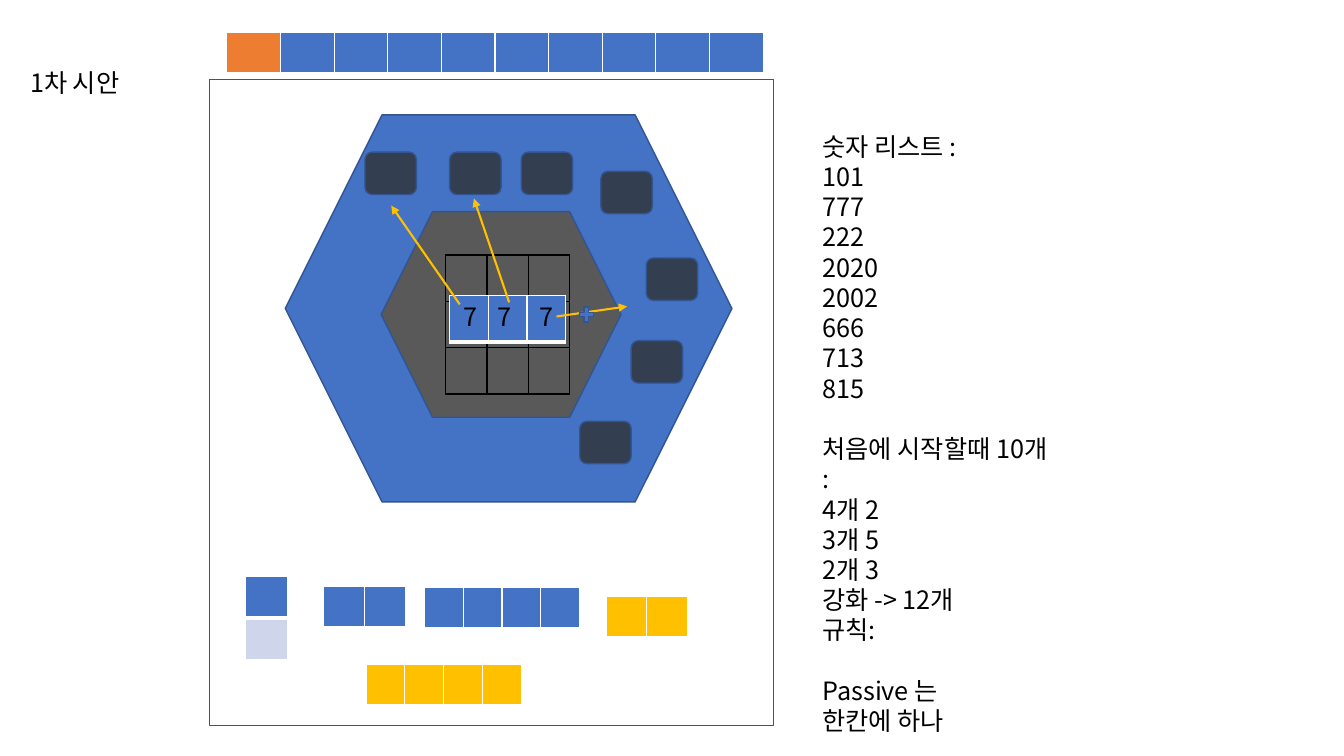
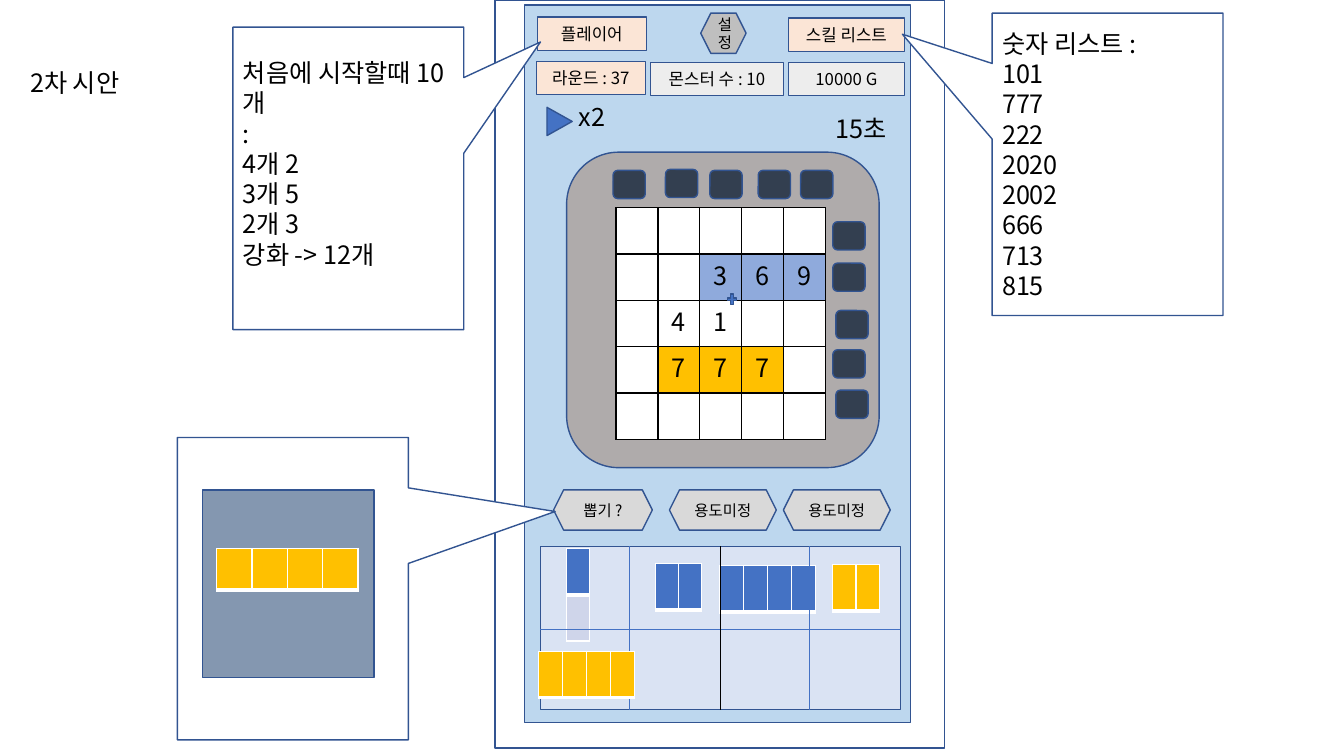
from lxml.etree import SubElement
from pptx import Presentation
from pptx.dml.color import RGBColor
from pptx.enum.shapes import MSO_CONNECTOR as Link, MSO_SHAPE as Kind
from pptx.enum.text import MSO_ANCHOR as Anchor, PP_ALIGN as Align
from pptx.oxml import parse_xml
from pptx.oxml.ns import nsdecls, qn
from pptx.util import Inches, Pt

# Shared look
FONT = "Noto Sans CJK KR"
BLACK = RGBColor(0x00, 0x00, 0x00)
WHITE = RGBColor(0xFF, 0xFF, 0xFF)
EDGE = RGBColor(0x32, 0x54, 0x91)
BLUE = RGBColor(0x44, 0x72, 0xC4)
GOLD = RGBColor(0xFF, 0xC0, 0x00)
ORANGE = RGBColor(0xED, 0x7D, 0x31)
NAVY = RGBColor(0x33, 0x3F, 0x50)
GRAPHITE = RGBColor(0x59, 0x59, 0x59)
LILAC = RGBColor(0xCF, 0xD5, 0xEA)
SKY = RGBColor(0xBD, 0xD7, 0xEE)
STONE = RGBColor(0xAF, 0xAB, 0xAB)
MATCH = RGBColor(0x8F, 0xAA, 0xDC)
TRAY = RGBColor(0xDA, 0xE3, 0xF3)
PEACH = RGBColor(0xFB, 0xE5, 0xD6)
PALE = RGBColor(0xED, 0xED, 0xED)
SILVER = RGBColor(0xBF, 0xBF, 0xBF)
LIGHT = RGBColor(0xD9, 0xD9, 0xD9)
SLATE = RGBColor(0x84, 0x97, 0xB0)

LINE = 1.2  # line height relative to the text size
NUMBERS = ["숫자 리스트 :", "101", "777", "222", "2020", "2002", "666", "713", "815"]
START = ["처음에 시작할때 10개", ":", "4개 2", "3개 5", "2개 3", "강화 -> 12개"]


# Text
def write(frame, lines, size=18, align=Align.LEFT, gaps=()):
    """Fill a frame; lines whose index is in gaps get a line of space above."""
    frame.word_wrap = True
    for i, line in enumerate(lines):
        para = frame.paragraphs[0] if i == 0 else frame.add_paragraph()
        para.alignment = align
        para.line_spacing = Pt(size * LINE)
        if i in gaps:
            para.space_before = Pt(size * LINE)
        run = para.add_run()
        run.text = line
        run.font.size = Pt(size)
        run.font.name = FONT
        run.font.color.rgb = BLACK
        SubElement(run.font._element, qn("a:ea")).set("typeface", FONT)


def label(slide, x, y, w, h, lines, gaps=()):
    box = slide.shapes.add_textbox(Inches(x), Inches(y), Inches(w), Inches(h))
    write(box.text_frame, lines, gaps=gaps)


# Shapes and lines
def shape(slide, kind, x, y, w, h, fill):
    item = slide.shapes.add_shape(kind, Inches(x), Inches(y), Inches(w), Inches(h))
    item.shadow.inherit = False
    item.fill.solid()
    item.fill.fore_color.rgb = fill
    item.line.color.rgb = EDGE
    item.line.width = Pt(1)
    return item


def button(slide, kind, x, y, w, h, fill, text, size):
    frame = shape(slide, kind, x, y, w, h, fill).text_frame
    frame.vertical_anchor = Anchor.MIDDLE
    write(frame, [text], size, Align.CENTER)


def callout(slide, x, y, tip, lines=(), foot=0.05):
    item = shape(slide, Kind.RECTANGULAR_CALLOUT, x, y, 2.29, 3, WHITE)
    item.adjustments[0], item.adjustments[1] = tip
    frame = item.text_frame
    frame.vertical_anchor = Anchor.MIDDLE
    frame.margin_bottom = Inches(foot)
    write(frame, lines)


def chips(slide, spots, w, h):
    for x, y in spots:
        shape(slide, Kind.ROUNDED_RECTANGLE, x, y, w, h, NAVY)


def link(slide, x1, y1, x2, y2, color, width, arrow=False):
    item = slide.shapes.add_connector(
        Link.STRAIGHT, Inches(x1), Inches(y1), Inches(x2), Inches(y2))
    item.line.color.rgb = color
    item.line.width = Pt(width)
    if arrow:
        SubElement(item.line._get_or_add_ln(), qn("a:tailEnd")).set("type", "triangle")
    SubElement(item._element.spPr, qn("a:effectLst"))


# Tables
def border(cell, color, foot):
    props = cell._tc.get_or_add_tcPr()
    for i, side in enumerate("LRTB"):
        width = Pt(foot if side == "B" else 1)
        props.insert(i, parse_xml(
            f'<a:ln{side} {nsdecls("a")} w="{width}"><a:solidFill>'
            f'<a:srgbClr val="{color}"/></a:solidFill></a:ln{side}>'))


def table(slide, x, y, w, row, fills, color, foot=1, texts=None):
    """Draw a grid of fills (None is clear); texts maps (row, column) to words."""
    count = len(fills)
    grid = slide.shapes.add_table(count, len(fills[0]), Inches(x), Inches(y),
                                  Inches(w), Inches(row * count)).table
    grid.first_row = grid.horz_banding = False
    for r, band in enumerate(fills):
        for c, fill in enumerate(band):
            cell = grid.cell(r, c)
            cell.margin_left = cell.margin_right = 0
            cell.margin_top = cell.margin_bottom = 0
            cell.vertical_anchor = Anchor.MIDDLE
            if fill is None:
                cell.fill.background()
            else:
                cell.fill.solid()
                cell.fill.fore_color.rgb = fill
            border(cell, color, 1 if fill == LILAC else foot)
            if texts and (r, c) in texts:
                write(cell.text_frame, [texts[r, c]], align=Align.CENTER)


def strip(slide, x, y, w, row, fills):
    table(slide, x, y, w, row, [fills], WHITE, 3)


def stack(slide, x, y, w, row):
    table(slide, x, y, w, row, [[BLUE], [LILAC]], WHITE, 3)


# Slides
def first(slide):
    # Board
    shape(slide, Kind.RECTANGLE, 2.08, 0.79, 5.59, 6.41, WHITE)
    shape(slide, Kind.HEXAGON, 2.83, 1.14, 4.43, 3.84, BLUE)
    shape(slide, Kind.HEXAGON, 3.78, 2.1, 2.38, 2.04, GRAPHITE)
    table(slide, 4.42, 2.53, 1.23, 0.46, [[None] * 3] * 3, BLACK)
    strip(slide, 4.46, 2.93, 1.15, 0.46, [BLUE] * 3)
    for x in (4.5, 4.84, 5.25):
        label(slide, x, 2.94, 0.41, 0.4, ["7"])
    chips(slide, [(3.62, 1.51), (4.46, 1.51), (5.17, 1.51), (5.96, 1.7),
                  (6.41, 2.56), (6.26, 3.38), (5.75, 4.18)], 0.51, 0.42)
    for ends in ((5.52, 3.14, 6.22, 3.04), (4.56, 3.02, 3.88, 2.04),
                 (5.05, 3, 4.7, 1.97)):
        link(slide, *ends, GOLD, 1.5, arrow=True)

    # Notes
    lines = NUMBERS + START + ["규칙:", "Passive 는", "한칸에 하나"]
    gaps = (lines.index(START[0]), lines.index("Passive 는"))
    label(slide, 8.06, 1.25, 5.2, 6.16, lines, gaps)

    # Blocks
    strip(slide, 3.21, 5.82, 0.81, 0.41, [BLUE] * 2)
    strip(slide, 4.21, 5.83, 1.54, 0.41, [BLUE] * 4)
    strip(slide, 3.63, 6.59, 1.54, 0.41, [GOLD] * 4)
    strip(slide, 6.01, 5.92, 0.81, 0.41, [GOLD] * 2)
    stack(slide, 2.43, 5.72, 0.42, 0.41)
    shape(slide, Kind.MATH_PLUS, 5.72, 3.02, 0.19, 0.2, BLUE)
    strip(slide, 2.25, 0.32, 5.32, 0.41, [ORANGE] + [BLUE] * 9)
    label(slide, 0.2, 0.62, 1.71, 0.4, ["1차 시안"])


def second(slide):
    # Phone and board
    shape(slide, Kind.RECTANGLE, 4.91, 0, 4.46, 7.42, WHITE)
    shape(slide, Kind.RECTANGLE, 5.2, 0.05, 3.83, 7.12, SKY)
    shape(slide, Kind.ROUNDED_RECTANGLE, 5.62, 1.51, 3.1, 3.13, STONE)
    fills = [[WHITE] * 5 for _ in range(5)]
    fills[1][2:] = [MATCH] * 3
    fills[3][1:4] = [GOLD] * 3
    texts = {(1, 2): "3", (1, 3): "6", (1, 4): "9", (2, 1): "4", (2, 2): "1",
             (3, 1): "7", (3, 2): "7", (3, 3): "7"}
    table(slide, 6.11, 2.06, 2.08, 0.46, fills, BLACK, texts=texts)
    chips(slide, [(6.08, 1.69), (6.6, 1.68), (7.04, 1.69), (7.52, 1.69),
                  (7.94, 1.69), (8.26, 2.2), (8.26, 2.61), (8.29, 3.08),
                  (8.26, 3.47), (8.29, 3.87)], 0.32, 0.28)
    shape(slide, Kind.MATH_PLUS, 7.2, 2.9, 0.12, 0.14, BLUE)

    # Tray of blocks
    shape(slide, Kind.RECTANGLE, 5.36, 5.42, 3.57, 1.62, TRAY)
    strip(slide, 6.5, 5.59, 0.46, 0.46, [BLUE] * 2)
    strip(slide, 7.14, 5.61, 0.95, 0.46, [BLUE] * 4)
    strip(slide, 8.26, 5.6, 0.46, 0.46, [GOLD] * 2)
    stack(slide, 5.62, 5.44, 0.23, 0.46)
    link(slide, 5.36, 6.24, 8.93, 6.24, BLUE, 0.5)
    for x, color in ((6.24, BLUE), (7.14, BLACK), (8.03, BLUE)):
        link(slide, x, 5.42, x, 7.04, color, 0.5)
    strip(slide, 5.34, 6.46, 0.95, 0.46, [GOLD] * 4)

    # Status bars
    for x, y, w, fill, text in (
            (5.32, 0.61, 1.08, PEACH, "라운드 : 37"),
            (6.45, 0.62, 1.32, PALE, "몬스터 수 : 10"),
            (7.82, 0.62, 1.15, PALE, "10000 G"),
            (5.33, 0.17, 1.08, PEACH, "플레이어"),
            (7.82, 0.18, 1.15, PEACH, "스킬 리스트")):
        button(slide, Kind.RECTANGLE, x, y, w, 0.33, fill, text, 12)
    label(slide, 8.19, 1.08, 0.76, 0.4, ["15초"])
    label(slide, 0.2, 0.62, 1.32, 0.4, ["2차 시안"])

    # Callouts and buttons
    callout(slide, 9.84, 0.13, (-0.889, -0.43), NUMBERS)
    callout(slide, 2.31, 0.27, (0.832, -0.451), START, foot=0.35)
    for x, y, w, fill, text in (
            (6.95, 0.13, 0.45, SILVER, "설정"),
            (5.49, 4.86, 0.98, LIGHT, "뽑기 ?"),
            (6.64, 4.86, 1.06, LIGHT, "용도미정"),
            (7.77, 4.86, 1.06, LIGHT, "용도미정")):
        button(slide, Kind.HEXAGON, x, y, w, 0.4, fill, text, 11)
    callout(slide, 1.76, 4.34, (1.136, -0.255))
    shape(slide, Kind.RECTANGLE, 2.01, 4.86, 1.7, 1.86, SLATE)
    strip(slide, 2.15, 5.44, 1.4, 0.41, [GOLD] * 4)

    # Speed
    play = shape(slide, Kind.ISOSCELES_TRIANGLE, 5.41, 1.08, 0.28, 0.25, BLUE)
    play.rotation = 90
    label(slide, 5.64, 0.96, 0.54, 0.37, ["x2"])


def main():
    deck = Presentation()
    deck.slide_width, deck.slide_height = Inches(13.33), Inches(7.5)
    for build in (first, second):
        build(deck.slides.add_slide(deck.slide_layouts[6]))
    deck.save("out.pptx")


if __name__ == "__main__":
    main()
